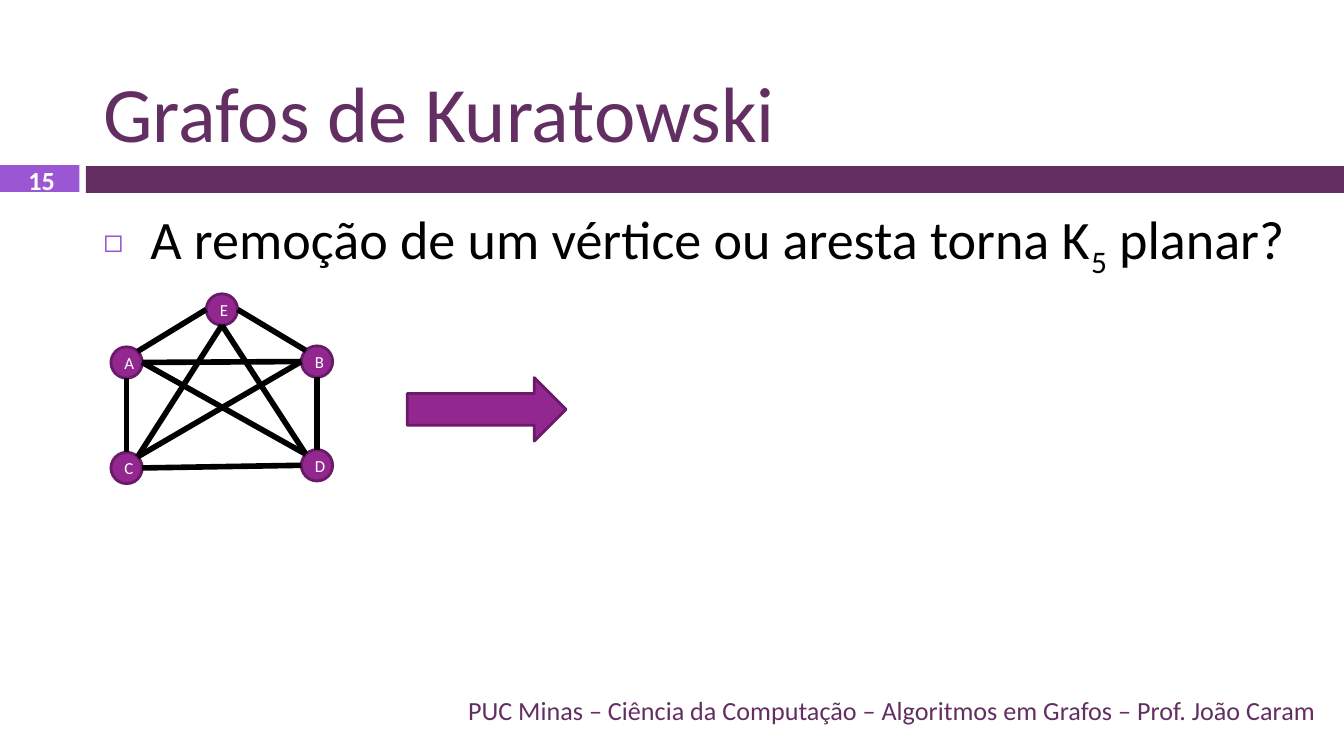
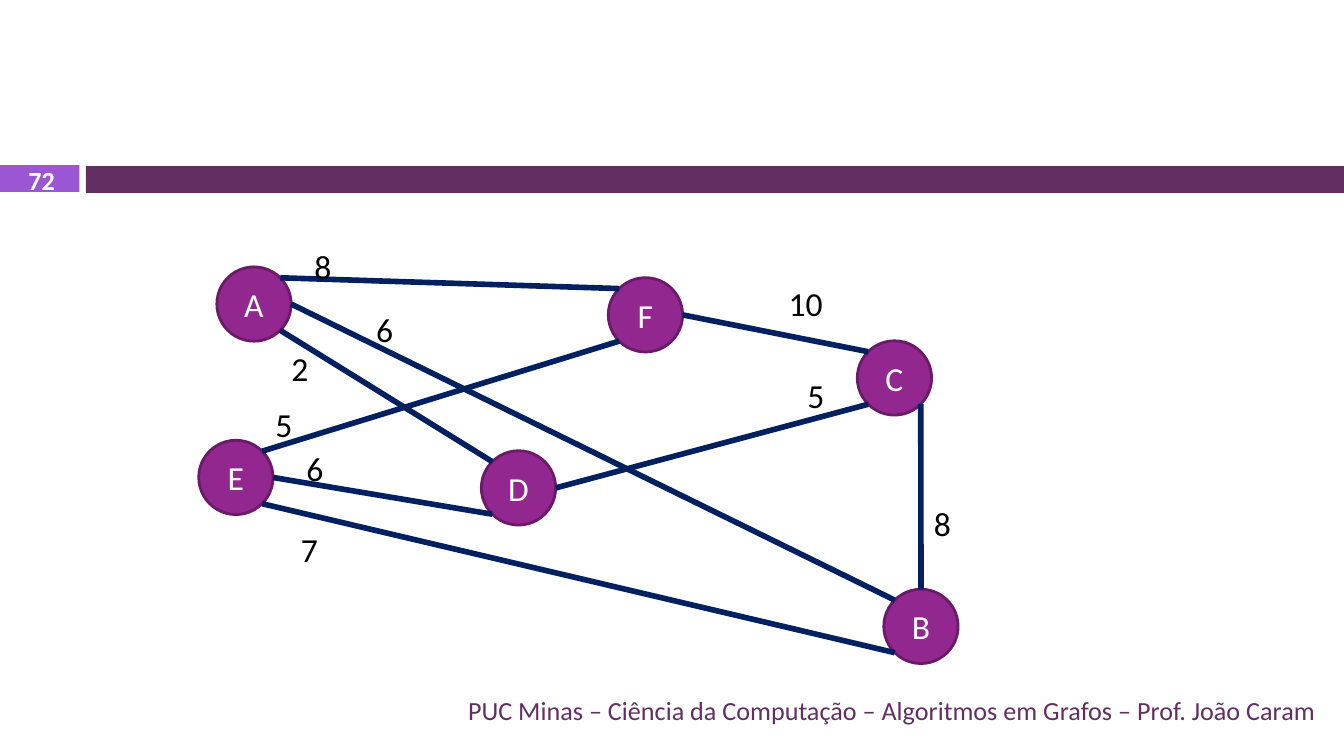
from math import sqrt

from lxml import etree
from pptx import Presentation
from pptx.dml.color import RGBColor
from pptx.enum.shapes import MSO_CONNECTOR, MSO_SHAPE
from pptx.enum.text import MSO_ANCHOR, MSO_AUTO_SIZE, PP_ALIGN
from pptx.oxml.ns import qn
from pptx.util import Pt

LEFT, CENTER, RIGHT = PP_ALIGN.LEFT, PP_ALIGN.CENTER, PP_ALIGN.RIGHT
TOP, MIDDLE, BOTTOM = MSO_ANCHOR.TOP, MSO_ANCHOR.MIDDLE, MSO_ANCHOR.BOTTOM
NO_FIT = MSO_AUTO_SIZE.NONE
FIT_SHAPE = MSO_AUTO_SIZE.SHAPE_TO_FIT_TEXT
OVAL, RECT, ARROW = MSO_SHAPE.OVAL, MSO_SHAPE.RECTANGLE, MSO_SHAPE.RIGHT_ARROW
STRAIGHT = MSO_CONNECTOR.STRAIGHT

FONT = "Calibri"
COLORS = {
    "band": "632E62",
    "number": "9B57D3",
    "node": "92278F",
    "outline": "6A1A68",
    "edge": "002060",
    "text": "000000",
    "white": "FFFFFF",
}
FOOTER = ("PUC Minas – Ciência da Computação – Algoritmos em Grafos"
          " – Prof. João Caram")

TITLE_BOX = (48.2, 9.4, 664, 79.2)
BODY_BOX = (48.2, 106.6, 664, 257.8)
FOOTER_BOX = (48.2, 369.4, 664, 21.6)
BAND_BOX = (0, 88.5, 720, 14.4)

# Directions from the centre of a node to the points of its rim
DIAG = 1 / sqrt(2)
RIM = {
    "N": (0, -1), "S": (0, 1), "W": (-1, 0), "E": (1, 0),
    "NW": (-DIAG, -DIAG), "NE": (DIAG, -DIAG),
    "SW": (-DIAG, DIAG), "SE": (DIAG, DIAG),
}

# Nodes: name -> left and top within the graph
K5_NODES = {"A": (0, 28.4), "B": (102, 27.9), "D": (102, 83.5),
            "C": (0, 84.9), "E": (51.1, 0)}
# Edges: node, rim point, node, rim point
K5_EDGES = [
    ("B", "W", "C", "NE"), ("A", "E", "D", "NW"), ("B", "S", "D", "N"),
    ("D", "W", "C", "E"), ("B", "W", "A", "E"), ("C", "N", "A", "S"),
    ("E", "W", "A", "NE"), ("B", "NW", "E", "E"), ("E", "S", "C", "NE"),
    ("D", "NW", "E", "S"),
]

WEIGHTED_NODES = {"A": (9.7, 0), "C": (352.8, 39.6), "E": (0, 92.9),
                  "B": (367, 172.7), "D": (151.4, 98.5), "F": (219.4, 5.8)}
# Weighted edges add the weight and its left and top within the graph
WEIGHTED_EDGES = [
    ("A", "E", "B", "NW", "6", 87.9, 19),
    ("A", "SE", "D", "NW", "2", 42.5, 39.9),
    ("A", "NE", "F", "NW", "8", 54.8, -14.8),
    ("C", "SE", "B", "N", "8", 386.7, 122.7),
    ("C", "SW", "D", "E", "5", 319, 54.3),
    ("C", "NW", "F", "E", "10", 308.9, 5.3),
    ("E", "SE", "B", "SW", "7", 47.6, 137.1),
    ("E", "E", "D", "SW", "6", 50.5, 93.2),
    ("E", "NE", "F", "SW", "5", 33.9, 70.1),
]


def rgb(name):
    return RGBColor.from_string(COLORS[name])


def pts(*values):
    return [Pt(v) for v in values]


def write(shape, text, size, color="text", bold=False, align=LEFT,
          anchor=TOP, wrap=True, fit=NO_FIT, bullet=None):
    """Fill a shape with one paragraph; text is a string or (string, baseline) pairs."""
    tf = shape.text_frame
    tf.auto_size, tf.word_wrap, tf.vertical_anchor = fit, wrap, anchor
    p = tf.paragraphs[0]
    if bullet:
        add_bullet(p, bullet)
    p.alignment = align
    p.space_before = Pt(0)
    for part, baseline in [(text, 0)] if isinstance(text, str) else text:
        r = p.add_run()
        r.text = part
        r.font.name, r.font.size, r.font.bold = FONT, Pt(size), bold
        r.font.color.rgb = rgb(color)
        if baseline:
            r._r.get_or_add_rPr().set("baseline", str(baseline * 1000))


def add_bullet(p, char, indent=25.2):
    pPr = p._p.get_or_add_pPr()
    pPr.set("marL", str(Pt(indent)))
    pPr.set("indent", str(-Pt(indent)))
    clr = etree.SubElement(pPr, qn("a:buClr"))
    etree.SubElement(clr, qn("a:srgbClr")).set("val", COLORS["number"])
    etree.SubElement(pPr, qn("a:buSzPct")).set("val", "60000")
    etree.SubElement(pPr, qn("a:buFont")).set("typeface", FONT)
    etree.SubElement(pPr, qn("a:buChar")).set("char", char)


def add_text(s, box, text, size, **fmt):
    write(s.shapes.add_textbox(*pts(*box)), text, size, **fmt)


def add_block(s, kind, box, fill, line=None):
    sp = s.shapes.add_shape(kind, *pts(*box))
    sp.shadow.inherit = False
    sp.fill.solid()
    sp.fill.fore_color.rgb = rgb(fill)
    if line:
        sp.line.color.rgb = rgb(line)
        sp.line.width = Pt(1.5)
    else:
        sp.line.fill.background()
    return sp


def add_edge(s, start, end, color):
    line = s.shapes.add_connector(STRAIGHT, *pts(*start, *end))
    line.line.color.rgb = rgb(color)
    line.line.width = Pt(3)
    etree.SubElement(line._element.spPr, qn("a:effectLst"))


def fill_placeholder(sp, box, text, size, **fmt):
    sp.left, sp.top, sp.width, sp.height = pts(*box)
    write(sp, text, size, **fmt)


def add_band(s, box, number):
    x, y, w, h = box
    add_block(s, RECT, (x + 46, y + 0.5, w - 46, h), "band")
    add_block(s, RECT, (x, y, 42.5, h), "number")
    add_text(s, (x + 1.4, y + 0.8, 41.8, h), str(number), 14, color="white",
             bold=True, align=CENTER, anchor=MIDDLE)


def add_graph(s, origin, nodes, edges, diameter, size, edge_color):
    x, y = origin
    radius = diameter / 2

    def rim_point(name, side):
        left, top = nodes[name]
        dx, dy = RIM[side]
        return x + left + radius * (1 + dx), y + top + radius * (1 + dy)

    for name, (left, top) in nodes.items():
        sp = add_block(s, OVAL, (x + left, y + top, diameter, diameter),
                       "node", "outline")
        write(sp, name, size, color="white", align=CENTER, anchor=MIDDLE)
    for a, a_side, b, b_side, *label in edges:
        add_edge(s, rim_point(a, a_side), rim_point(b, b_side), edge_color)
        if label:
            weight, left, top = label
            width = 14.4 + 10.1 * len(weight)
            add_text(s, (x + left, y + top, width, 28.8), weight, size,
                     wrap=False, fit=FIT_SHAPE)


def add_slide(prs, layout, number):
    s = prs.slides.add_slide(prs.slide_layouts[layout])
    add_band(s, BAND_BOX, number)
    add_text(s, FOOTER_BOX, FOOTER, 14, color="band", align=RIGHT, anchor=MIDDLE)
    return s


def kuratowski_slide(prs):
    s = add_slide(prs, 1, 15)
    fill_placeholder(s.shapes.title, TITLE_BOX, "Grafos de Kuratowski", 42,
                     color="band", anchor=BOTTOM)
    question = [("A remoção de um vértice ou aresta torna K", 0), ("5", -25),
                (" planar?", 0)]
    fill_placeholder(s.placeholders[1], BODY_BOX, question, 29, bullet="◻")
    add_graph(s, (59.4, 157.4), K5_NODES, K5_EDGES, 16.8, 9, "text")
    add_block(s, ARROW, (218.2, 202.3, 85, 34), "node", "outline")


def weighted_graph_slide(prs):
    s = add_slide(prs, 6, 72)
    add_graph(s, (106.5, 143), WEIGHTED_NODES, WEIGHTED_EDGES, 39.8, 18, "edge")


def main():
    prs = Presentation()
    prs.slide_width, prs.slide_height = pts(720, 405)
    kuratowski_slide(prs)
    weighted_graph_slide(prs)
    prs.save("out.pptx")


if __name__ == "__main__":
    main()
